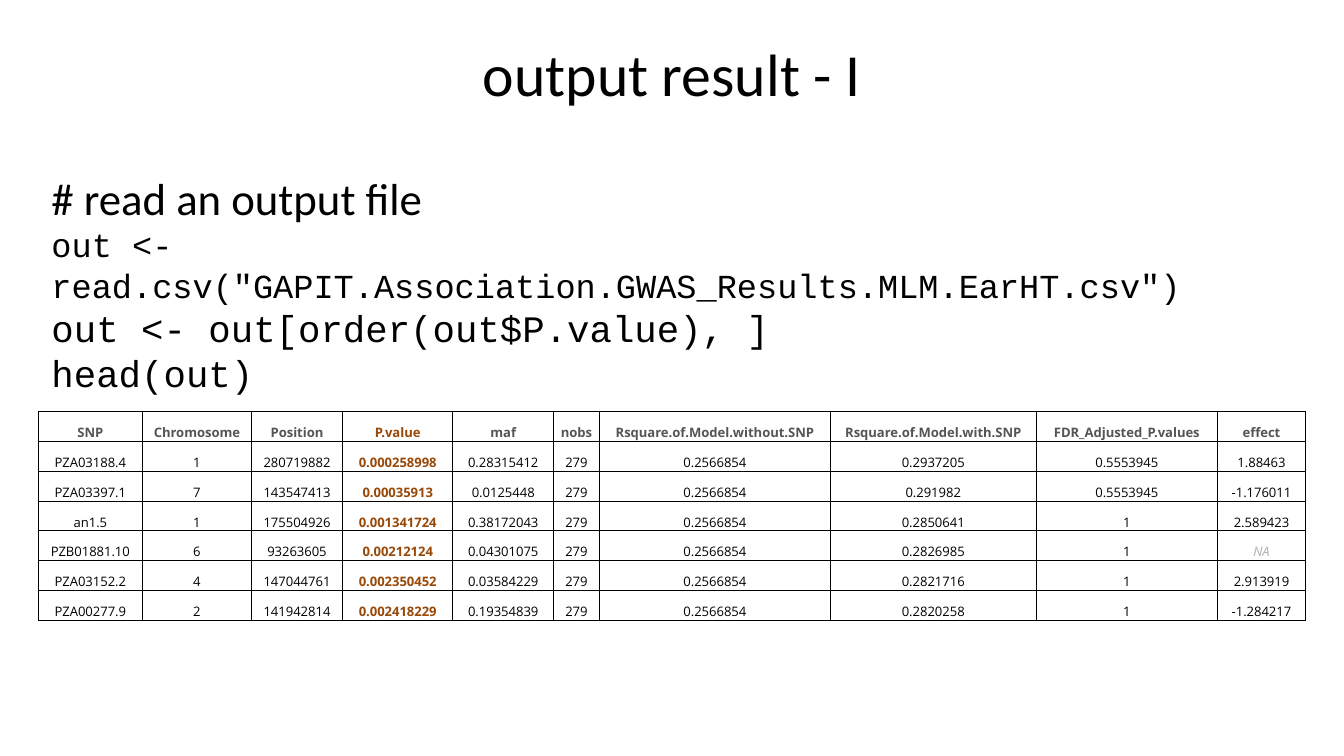
"""Build a slide showing R code that reads GWAS results, with the resulting table."""
import dataclasses
import typing

import lxml.etree
import pptx
import pptx.dml.color
import pptx.enum.text
import pptx.oxml.ns
import pptx.util

EMU_PER_PX = 4572
SLIDE_WIDTH = 2000
SLIDE_HEIGHT = 1125
BLANK_LAYOUT = 6

BLACK = pptx.dml.color.RGBColor(0x00, 0x00, 0x00)
HEADER_GREY = pptx.dml.color.RGBColor(0x55, 0x55, 0x55)
MISSING_GREY = pptx.dml.color.RGBColor(0xB0, 0xB0, 0xB0)
HIGHLIGHT_BROWN = pptx.dml.color.RGBColor(0x98, 0x48, 0x07)

CENTER = pptx.enum.text.PP_ALIGN.CENTER
LEFT = pptx.enum.text.PP_ALIGN.LEFT
TOP = pptx.enum.text.MSO_ANCHOR.TOP
MIDDLE = pptx.enum.text.MSO_ANCHOR.MIDDLE
BOTTOM = pptx.enum.text.MSO_ANCHOR.BOTTOM


@dataclasses.dataclass(frozen=True)
class Line:
    text: str
    size: int
    font: str
    color: pptx.dml.color.RGBColor = BLACK
    bold: bool = False
    italic: bool = False


@dataclasses.dataclass(frozen=True)
class Area:
    left: int
    top: int
    width: int
    height: int


@dataclasses.dataclass(frozen=True)
class Column:
    header: str
    width: int
    values: tuple[str, ...]


TITLE_AREA = Area(100, 45, 1800, 125)
CODE_AREA = Area(57, 244, 1928, 296)
TABLE_AREA = Area(57, 613, 1886, 310)

TITLE = Line("output result - I", 32, "Calibri")
CODE_LINES = (
    Line("# read an output file", 24, "Calibri"),
    Line('out <- read.csv("GAPIT.Association.GWAS_Results.MLM.EarHT.csv")', 18, "Courier New"),
    Line("out <- out[order(out$P.value), ]", 20, "Courier New"),
    Line("head(out)", 20, "Courier New"),
)

HIGHLIGHTED = "P.value"
MISSING = "NA"
SNP_COUNT = 6
COLUMNS = (
    Column("SNP", 155, ("PZA03188.4", "PZA03397.1", "an1.5", "PZB01881.10", "PZA03152.2", "PZA00277.9")),
    Column("Chromosome", 162, ("1", "7", "1", "6", "4", "2")),
    Column("Position", 136, ("280719882", "143547413", "175504926", "93263605", "147044761", "141942814")),
    Column(
        HIGHLIGHTED,
        164,
        ("0.000258998", "0.00035913", "0.001341724", "0.00212124", "0.002350452", "0.002418229"),
    ),
    Column(
        "maf",
        150,
        ("0.28315412", "0.0125448", "0.38172043", "0.04301075", "0.03584229", "0.19354839"),
    ),
    Column("nobs", 68, ("279",) * SNP_COUNT),
    Column("Rsquare.of.Model.without.SNP", 344, ("0.2566854",) * SNP_COUNT),
    Column(
        "Rsquare.of.Model.with.SNP",
        306,
        ("0.2937205", "0.291982", "0.2850641", "0.2826985", "0.2821716", "0.2820258"),
    ),
    Column("FDR_Adjusted_P.values", 270, ("0.5553945",) * 2 + ("1",) * 4),
    Column("effect", 131, ("1.88463", "-1.176011", "2.589423", MISSING, "2.913919", "-1.284217")),
)


def px(length: int) -> pptx.util.Emu:
    """Turn pixels into EMU."""
    return pptx.util.Emu(length * EMU_PER_PX)


def place(area: Area) -> tuple[pptx.util.Emu, ...]:
    """Give the left, top, width and height of an area in EMU."""
    return tuple(px(length) for length in dataclasses.astuple(area))


def write_line(para: typing.Any, line: Line, alignment: typing.Any) -> None:
    """Fill a paragraph with one styled line."""
    para.text = line.text
    para.alignment = alignment
    para.font.name = line.font
    para.font.size = pptx.util.Pt(line.size)
    para.font.bold = line.bold
    para.font.italic = line.italic
    para.font.color.rgb = line.color


def add_text(
    page: typing.Any, area: Area, lines: typing.Sequence[Line], alignment: typing.Any, anchor: typing.Any
) -> None:
    """Add a wrapping text box with one paragraph for each line."""
    frame = page.shapes.add_textbox(*place(area)).text_frame
    frame.word_wrap = True
    frame.vertical_anchor = anchor
    for index, line in enumerate(lines):
        para = frame.add_paragraph() if index else frame.paragraphs[0]
        write_line(para, line, alignment)


def add_borders(cell: typing.Any) -> None:
    """Draw a thin black line on every side of a cell."""
    properties = cell._tc.get_or_add_tcPr()
    for side in ("a:lnL", "a:lnR", "a:lnT", "a:lnB"):
        border = lxml.etree.SubElement(properties, pptx.oxml.ns.qn(side), w=str(pptx.util.Pt(0.5)))
        fill = lxml.etree.SubElement(border, pptx.oxml.ns.qn("a:solidFill"))
        lxml.etree.SubElement(fill, pptx.oxml.ns.qn("a:srgbClr"), val=str(BLACK))


def style_value(text: str, header: str, is_header: bool) -> Line:
    """Choose the style of a table entry from its row, column and value."""
    highlighted = header == HIGHLIGHTED
    missing = text == MISSING
    if highlighted:
        color = HIGHLIGHT_BROWN
    elif is_header:
        color = HEADER_GREY
    else:
        color = MISSING_GREY if missing else BLACK
    return Line(text, 7, "Open Sans", color, bold=is_header or highlighted, italic=missing)


def fill_cell(cell: typing.Any, line: Line) -> None:
    """Write and format one table cell."""
    cell.margin_left = cell.margin_right = cell.margin_top = px(2)
    cell.margin_bottom = px(0)
    cell.vertical_anchor = BOTTOM
    add_borders(cell)
    cell.fill.background()
    write_line(cell.text_frame.paragraphs[0], line, CENTER)


def add_results(page: typing.Any, area: Area, columns: typing.Sequence[Column]) -> None:
    """Add the results table with equal row heights."""
    row_count = SNP_COUNT + 1
    table = page.shapes.add_table(row_count, len(columns), *place(area)).table
    table.first_row = False
    table.horz_banding = False
    for row in table.rows:
        row.height = pptx.util.Emu(px(area.height) // row_count)
    for column_index, column in enumerate(columns):
        table.columns[column_index].width = px(column.width)
        for row_index, text in enumerate((column.header, *column.values)):
            line = style_value(text, column.header, row_index == 0)
            fill_cell(table.cell(row_index, column_index), line)


def main() -> None:
    """Build and save the deck."""
    deck = pptx.Presentation()
    deck.slide_width = px(SLIDE_WIDTH)
    deck.slide_height = px(SLIDE_HEIGHT)
    page = deck.slides.add_slide(deck.slide_layouts[BLANK_LAYOUT])
    add_text(page, TITLE_AREA, (TITLE,), CENTER, MIDDLE)
    add_results(page, TABLE_AREA, COLUMNS)
    add_text(page, CODE_AREA, CODE_LINES, LEFT, TOP)
    deck.save("out.pptx")


if __name__ == "__main__":
    main()
